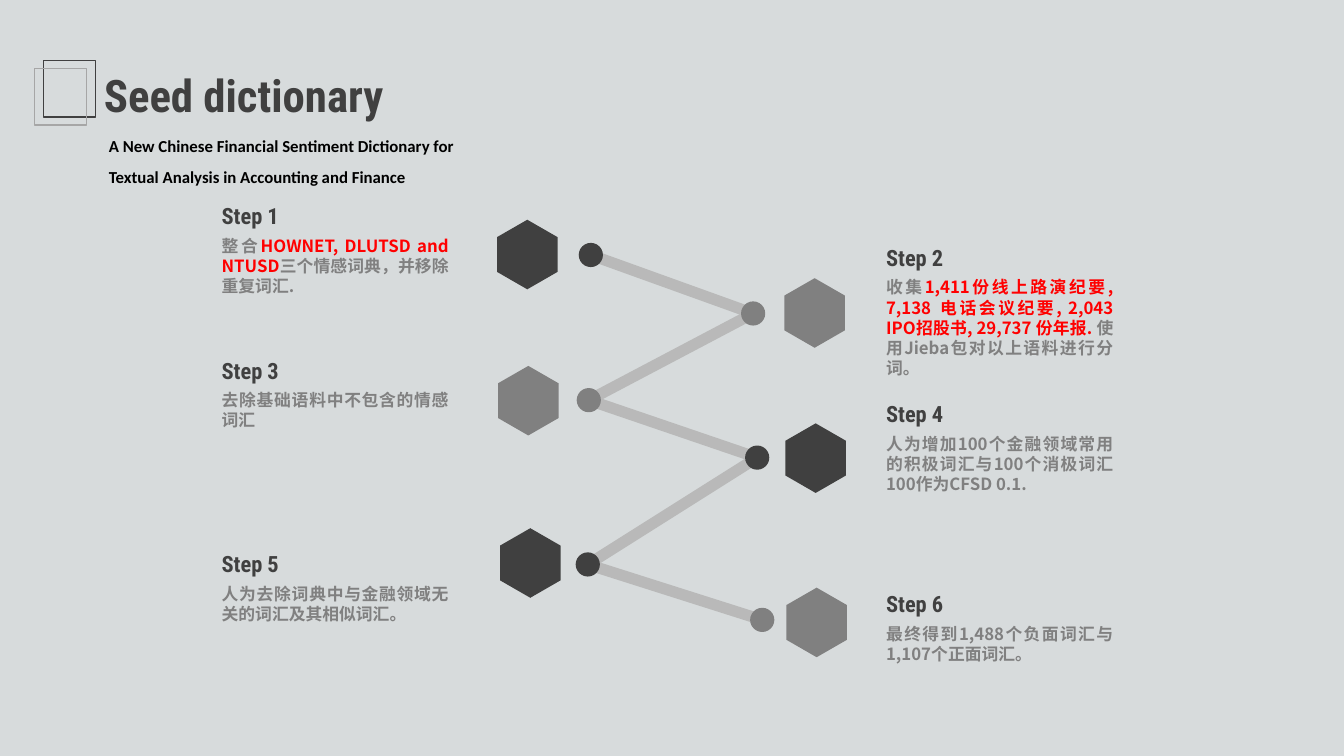
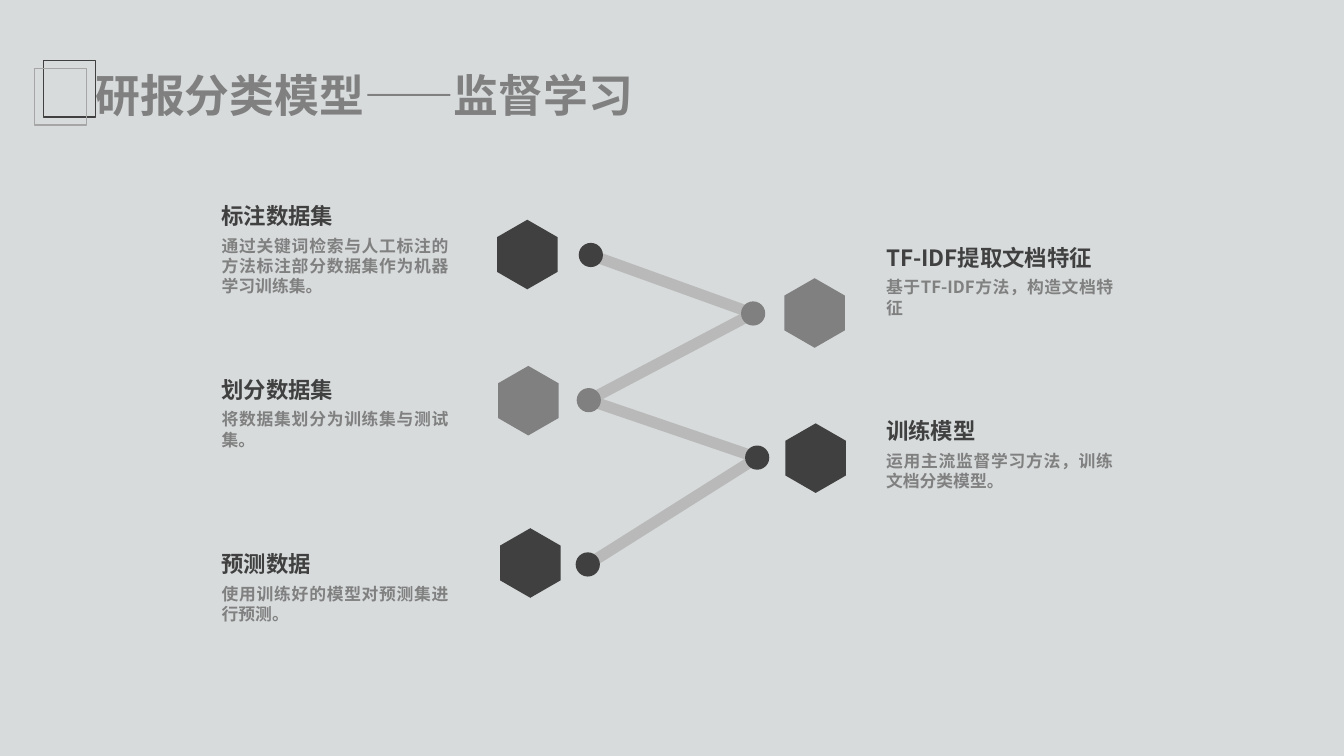
from dataclasses import dataclass
from itertools import pairwise

from lxml.etree import SubElement
from pptx import Presentation
from pptx.dml.color import RGBColor
from pptx.enum.shapes import MSO_CONNECTOR as CONN, MSO_SHAPE as SHAPE
from pptx.enum.text import MSO_ANCHOR as ANCHOR, MSO_AUTO_SIZE as FIT, PP_ALIGN as ALIGN
from pptx.oxml.ns import qn
from pptx.util import Inches, Pt


@dataclass(frozen=True)
class Theme:
    bg: str = "D7DBDC"
    dark: str = "404040"
    mid: str = "808080"
    frame: str = "A6A6A6"
    link: str = "B9B9B9"
    accent: str = "FF0000"
    black: str = "000000"
    head_font: str = "Roboto Condensed"
    cjk_font: str = "Noto Sans CJK SC"
    sub_font: str = "Calibri"
    title_size: int = 32
    head_size: int = 16
    body_size: int = 12
    leading: float = 1.2


@dataclass(frozen=True)
class Node:
    hexagon: tuple
    dot: tuple
    color: str


@dataclass(frozen=True)
class Step:
    top: float
    heading: str
    texts: tuple  # every second text is highlighted


T = Theme()
HEX_W, HEX_H, DOT = 0.6, 0.69, 0.24
COLUMNS = (2.1, 8.69)
NODES = (
    Node((4.93, 2.18), (5.74, 2.41), T.dark),
    Node((7.78, 2.76), (7.35, 2.99), T.mid),
    Node((4.94, 3.63), (5.72, 3.85), T.mid),
    Node((7.79, 4.2), (7.39, 4.42), T.dark),
    Node((4.96, 5.24), (5.71, 5.48), T.dark),
    Node((7.8, 5.83), (7.44, 6.03), T.mid),
)
SEED_STEPS = (
    Step(1.96, "Step 1", ("整合", "HOWNET, DLUTSD and NTUSD", "三个情感词典，并移除重复词汇.")),
    Step(2.37, "Step 2", (
        "收集",
        "1,411份线上路演纪要, 7,138 电话会议纪要, 2,043 IPO招股书, 29,737 份年报. ",
        "使用Jieba包对以上语料进行分词。")),
    Step(3.49, "Step 3", ("去除基础语料中不包含的情感词汇",)),
    Step(3.92, "Step 4", ("人为增加100个金融领域常用的积极词汇与100个消极词汇 100作为CFSD 0.1.",)),
    Step(5.41, "Step 5", ("人为去除词典中与金融领域无关的词汇及其相似词汇。",)),
    Step(5.81, "Step 6", ("最终得到1,488个负面词汇与1,107个正面词汇。",)),
)
MODEL_STEPS = (
    Step(1.96, "标注数据集", ("通过关键词检索与人工标注的方法标注部分数据集作为机器学习训练集。",)),
    Step(2.37, "TF-IDF提取文档特征", ("基于TF-IDF方法，构造文档特征",)),
    Step(3.68, "划分数据集", ("将数据集划分为训练集与测试集。",)),
    Step(4.09, "训练模型", ("运用主流监督学习方法，训练文档分类模型。",)),
    Step(5.41, "预测数据", ("使用训练好的模型对预测集进行预测。",)),
)


def rgb(color):
    return RGBColor.from_string(color)


class Deck:
    def __init__(self, theme):
        self.t = theme
        self.prs = Presentation()
        self.prs.slide_width, self.prs.slide_height = Inches(13.33), Inches(7.5)
        self.layout = self.prs.slide_layouts[5]
        self.s = None
        fill = self.prs.slide_master.background.fill
        fill.solid()
        fill.fore_color.rgb = rgb(theme.bg)

    def slide(self):
        self.s = self.prs.slides.add_slide(self.layout)

    def corner_frames(self):
        """Move the two overlapping squares to the layout, so every slide shows them."""
        frames = ((0.43, 0.6, self.t.dark), (0.34, 0.68, self.t.frame))
        for shape_id, (x, y, color) in enumerate(frames, 100):
            sp = self.s.shapes.add_shape(
                SHAPE.RECTANGLE, Inches(x), Inches(y), Inches(0.52), Inches(0.56))
            sp.shadow.inherit = False
            sp.fill.background()
            sp.line.color.rgb = rgb(color)
            sp.line.width = Pt(1)
            sp.element.nvSpPr.cNvPr.set("id", str(shape_id))
            self.layout.shapes.element.append(sp.element)

    def format_run(self, r, size, font, color):
        r.font.size, r.font.bold, r.font.name = Pt(size), True, font
        r.font.color.rgb = rgb(color)
        SubElement(r._r.get_or_add_rPr(), qn("a:ea"), typeface=self.t.cjk_font)

    def title(self, text, color, align=ALIGN.LEFT, indent=0.1):
        sp = self.s.shapes.title
        sp.left, sp.top, sp.width, sp.height = map(Inches, (0.83, 0.62, 5.57, 0.64))
        tf = sp.text_frame
        tf.text = text
        tf.auto_size, tf.vertical_anchor = FIT.NONE, ANCHOR.MIDDLE
        tf.margin_left = Inches(indent)
        p = tf.paragraphs[0]
        p.alignment = align
        self.format_run(p.runs[0], self.t.title_size, self.t.head_font, color)

    def text(self, x, y, w, h, texts, size, font, colors):
        """Add a text box whose texts take the given colours in turn."""
        tf = self.s.shapes.add_textbox(*map(Inches, (x, y, w, h))).text_frame
        tf.word_wrap = True
        p = tf.paragraphs[0]
        p.line_spacing = Pt(size * self.t.leading)
        for i, text in enumerate(texts):
            r = p.add_run()
            r.text = text
            self.format_run(r, size, font, colors[i % len(colors)])
        return tf

    def subtitle(self, text):
        t = self.t
        tf = self.text(1.08, 1.25, 3.44, 0.7, (text,), t.body_size, t.sub_font, (t.black,))
        tf.margin_left = tf.margin_right = tf.margin_top = tf.margin_bottom = 0
        tf.paragraphs[0].line_spacing = 1.5

    def fill(self, sp, color):
        sp.shadow.inherit = False
        sp.fill.solid()
        sp.fill.fore_color.rgb = rgb(color)
        sp.line.fill.background()

    def hexagon(self, node):
        x, y = node.hexagon
        corners = [(0.5, 0), (1, 0.25), (1, 0.75), (0.5, 1), (0, 0.75), (0, 0.25)]
        points = [(Inches(x + HEX_W * fx), Inches(y + HEX_H * fy)) for fx, fy in corners]
        builder = self.s.shapes.build_freeform(*points[0])
        builder.add_line_segments(points[1:], close=True)
        self.fill(builder.convert_to_shape(), node.color)

    def dot(self, node):
        x, y = node.dot
        sp = self.s.shapes.add_shape(
            SHAPE.OVAL, Inches(x), Inches(y), Inches(DOT), Inches(DOT))
        self.fill(sp, node.color)

    def link(self, start, end):
        ends = [Inches(v + DOT / 2) for v in (*start.dot, *end.dot)]
        line = self.s.shapes.add_connector(CONN.STRAIGHT, *ends)
        line.line.color.rgb = rgb(self.t.link)
        line.line.width = Pt(8)
        SubElement(line.element.spPr, qn("a:effectLst"))

    def step(self, x, step, font):
        t = self.t
        self.text(x, step.top, 2.38, 0.37, (step.heading,), t.head_size, font, (t.dark,))
        tf = self.text(x, step.top + 0.33, 2.45, 0.5, step.texts,
                       t.body_size, t.cjk_font, (t.mid, t.accent))
        tf.auto_size = FIT.SHAPE_TO_FIT_TEXT
        tf.paragraphs[0].alignment = ALIGN.JUSTIFY

    def zigzag(self, steps, font):
        nodes = NODES[:len(steps)]
        for node in nodes:
            self.hexagon(node)
        for start, end in pairwise(nodes):
            self.link(start, end)
        for node in nodes:
            self.dot(node)
        for i, step in enumerate(steps):
            self.step(COLUMNS[i % 2], step, font)


def main():
    deck = Deck(T)
    deck.slide()
    deck.corner_frames()
    deck.title("Seed dictionary", T.dark, indent=0.2)
    deck.subtitle("A New Chinese Financial Sentiment Dictionary for "
                  "Textual Analysis in Accounting and Finance")
    deck.zigzag(SEED_STEPS, T.head_font)

    deck.slide()
    deck.title("研报分类模型——监督学习", T.mid, ALIGN.CENTER)
    deck.zigzag(MODEL_STEPS, T.cjk_font)
    deck.prs.save("out.pptx")


if __name__ == "__main__":
    main()
